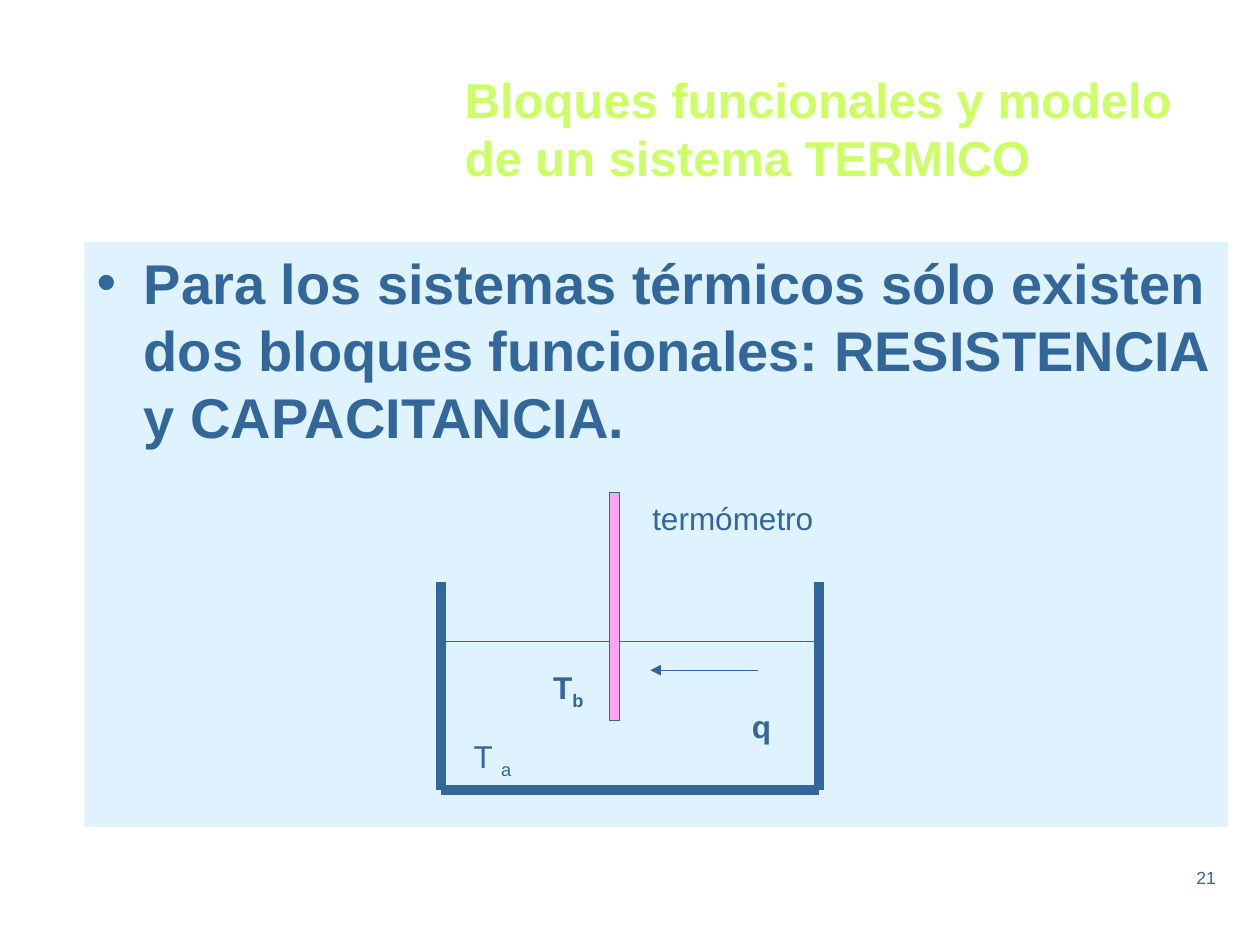
"""Build the slide on the functional blocks of a thermal system."""
from dataclasses import dataclass

from lxml import etree
from pptx import Presentation
from pptx.dml.color import RGBColor
from pptx.enum.shapes import MSO_CONNECTOR, MSO_SHAPE
from pptx.enum.text import MSO_ANCHOR, PP_ALIGN
from pptx.oxml.ns import qn
from pptx.util import Cm, Pt

STRAIGHT = MSO_CONNECTOR.STRAIGHT
RECTANGLE = MSO_SHAPE.RECTANGLE
TOP, MIDDLE = MSO_ANCHOR.TOP, MSO_ANCHOR.MIDDLE
LEFT, RIGHT = PP_ALIGN.LEFT, PP_ALIGN.RIGHT


@dataclass(frozen=True)
class Theme:
    """Colours, font and type sizes of the slide."""

    font: str = "Arial"
    ink: RGBColor = RGBColor(0x33, 0x66, 0x99)
    title: RGBColor = RGBColor(0xCC, 0xFF, 0x66)
    panel: RGBColor = RGBColor(0xDF, 0xF3, 0xFF)
    glass: RGBColor = RGBColor(0xF9, 0xA5, 0xEF)
    title_size: int = 28
    body_size: int = 32
    label_size: int = 18
    number_size: int = 10
    wall: float = 6
    thin: float = 0.75


THEME = Theme()


def style_span(span, size, color, bold):
    """Apply the theme font to one run."""
    span.font.name = THEME.font
    span.font.size = Pt(size)
    span.font.bold = bold
    span.font.color.rgb = color


def write_text(shape, text, size, color=THEME.ink, bold=False, align=LEFT, anchor=TOP):
    """Fill a shape with one styled paragraph and return it."""
    frame = shape.text_frame
    frame.word_wrap = True
    frame.vertical_anchor = anchor
    frame.text = text
    para = frame.paragraphs[0]
    para.alignment = align
    style_span(para.runs[0], size, color, bold)
    return para


def add_text(page, area, text, size, **style):
    """Add a text box at the given area in centimetres."""
    box = page.shapes.add_textbox(*map(Cm, area))
    return write_text(box, text, size, **style)


def add_label(page, area, text, subscript="", bold=False):
    """Add a diagram label with an optional subscript."""
    para = add_text(page, area, text, THEME.label_size, bold=bold)
    if subscript:
        span = para.add_run()
        span.text = subscript
        style_span(span, THEME.label_size, THEME.ink, bold)
        span.font._element.set("baseline", "-25000")


def add_rectangle(page, area, fill, outlined=False):
    """Add a flat rectangle, outlined on request."""
    shape = page.shapes.add_shape(RECTANGLE, *map(Cm, area))
    shape.shadow.inherit = False
    shape.fill.solid()
    shape.fill.fore_color.rgb = fill
    if outlined:
        shape.line.color.rgb = THEME.ink
        shape.line.width = Pt(THEME.thin)
    else:
        shape.line.fill.background()
    return shape


def add_bullet(para, indent):
    """Give a paragraph a round bullet with a hanging indent."""
    properties = para._p.get_or_add_pPr()
    properties.set("marL", str(Cm(indent)))
    properties.set("indent", str(-Cm(indent)))
    etree.SubElement(properties, qn("a:buFont")).set("typeface", THEME.font)
    etree.SubElement(properties, qn("a:buChar")).set("char", "•")


def add_line(page, start, end, width, arrow=False):
    """Add a straight line, with an arrowhead at its end on request."""
    line = page.shapes.add_connector(STRAIGHT, *map(Cm, (*start, *end)))
    line.line.color.rgb = THEME.ink
    line.line.width = Pt(width)
    if arrow:
        outline = line.line._get_or_add_ln()
        etree.SubElement(outline, qn("a:tailEnd")).set("type", "triangle")
    etree.SubElement(line._element.spPr, qn("a:effectLst"))


def add_tank(page):
    """Draw the tank, the thermometer, the liquid level and the heat flow."""
    left, right, rim, bottom, level = 8.89, 16.51, 11.73, 15.93, 12.93
    tube_left, tube_width = 12.29, 0.2
    corners = [(left, rim), (left, bottom), (right, bottom), (right, rim)]
    for start, end in zip(corners, corners[1:]):
        add_line(page, start, end, THEME.wall)
    add_rectangle(page, (tube_left, 9.93, tube_width, 4.6), THEME.glass, outlined=True)
    for start, end in ((left, tube_left), (tube_left + tube_width, right)):
        add_line(page, (start, level), (end, level), THEME.thin)
    add_line(page, (15.29, 13.51), (13.11, 13.51), THEME.thin, arrow=True)


def main():
    """Build and save the deck."""
    deck = Presentation()
    deck.slide_width, deck.slide_height = Cm(25.4), Cm(19.05)
    page = deck.slides.add_slide(deck.slide_layouts[6])

    add_text(page, (9.12, 1.55, 15.42, 2.06),
             "Bloques funcionales y modelo de un sistema TERMICO",
             THEME.title_size, color=THEME.title, bold=True, anchor=MIDDLE)
    panel = add_rectangle(page, (1.7, 4.88, 23.06, 11.79), THEME.panel)
    para = write_text(panel, "Para los sistemas térmicos sólo existen dos bloques "
                      "funcionales: RESISTENCIA y CAPACITANCIA.",
                      THEME.body_size, bold=True)
    add_bullet(para, 0.95)

    add_tank(page)
    add_label(page, (14.91, 14.12, 0.99, 1.02), "q", bold=True)
    add_label(page, (10.9, 13.34, 1.4, 1.12), "T", "b", bold=True)
    add_label(page, (9.3, 14.73, 1.6, 1.12), "T ", "a")
    add_label(page, (12.9, 9.93, 4.19, 1.02), "termómetro")
    add_text(page, (19.48, 17.35, 5.28, 1.27), "21", THEME.number_size, align=RIGHT)
    deck.save("out.pptx")


if __name__ == "__main__":
    main()
